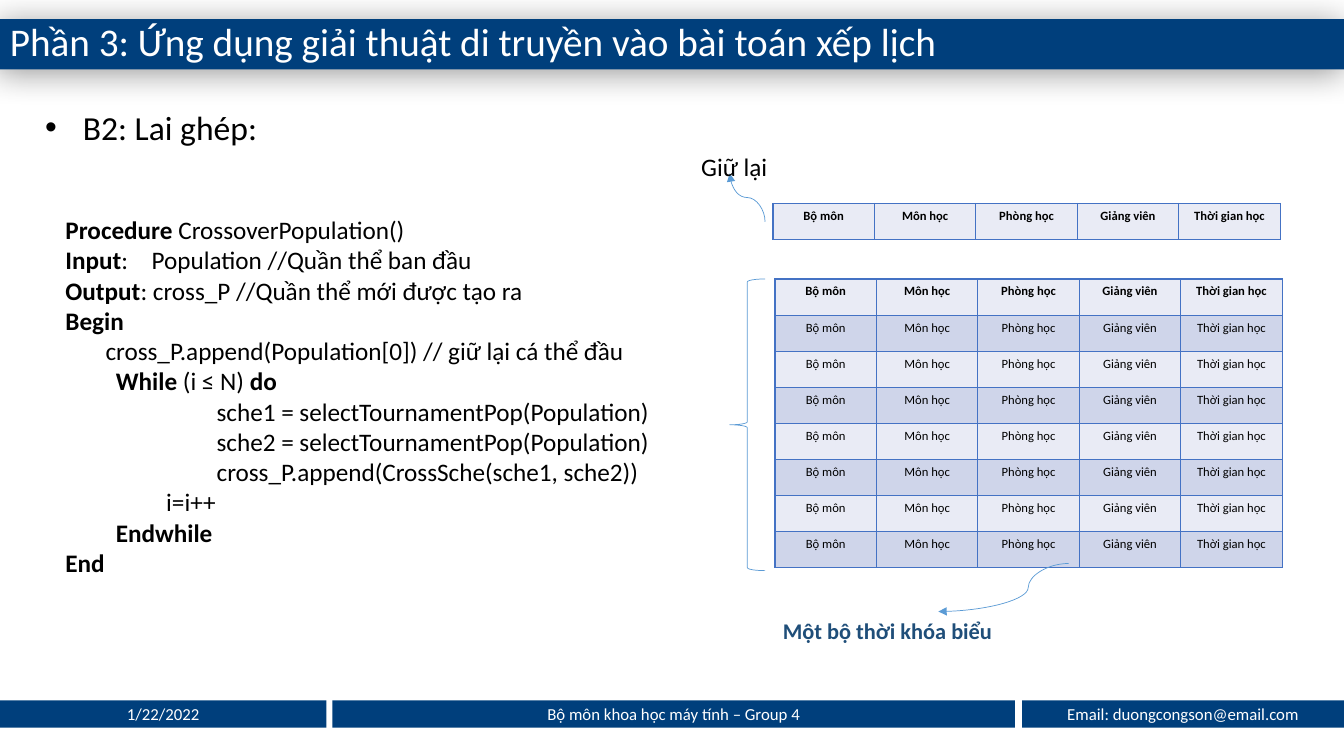
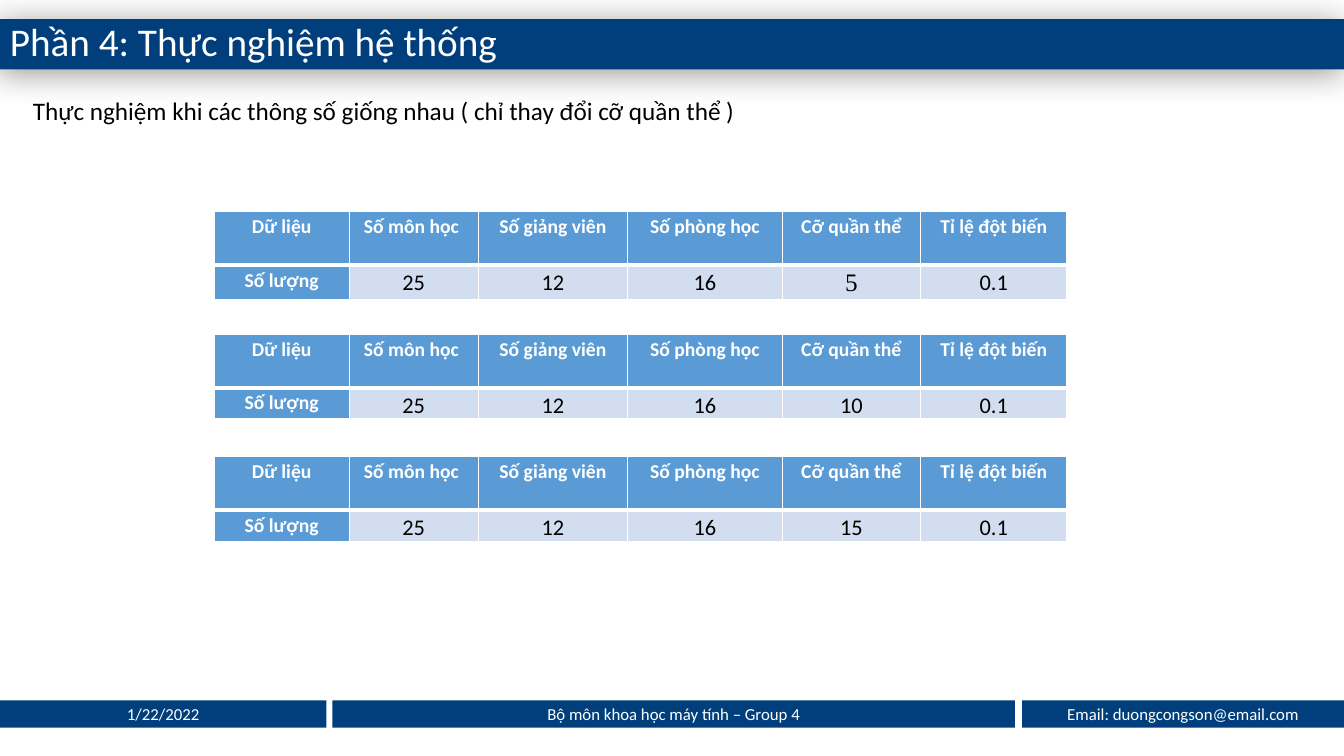
from lxml.etree import SubElement
from pptx import Presentation
from pptx.dml.color import RGBColor
from pptx.enum.shapes import MSO_CONNECTOR as Connector, MSO_SHAPE as Shape
from pptx.enum.text import MSO_ANCHOR as Anchor, PP_ALIGN as Align
from pptx.oxml.ns import qn
from pptx.util import Cm, Pt

COLORS = {
    "navy": "003F7C", "blue": "5B9BD5", "pale": "D2DEEF", "caption": "1F4E79",
    "grid": "4472C4", "light": "E9EBF5", "band": "CFD5EA",
    "black": "000000", "white": "FFFFFF",
}
FONT = "Calibri"
WIDTH, HEIGHT = 33.87, 19.05
FOOTERS = [
    (0, 8.23, "1/22/2022"),
    (8.38, 17.2, "Bộ môn khoa học máy tính – Group 4"),
    (25.76, 8.11, "Email: duongcongson@email.com"),
]
GENES = ["Bộ môn", "Môn học", "Phòng học", "Giảng viên", "Thời gian học"]
GENE_WIDTHS = [2.556] * len(GENES)
GENE_ROW = 0.91
# Indent in cm and text; ** switches bold on and off.
PROCEDURE = [
    (0, "**Procedure **CrossoverPopulation()"),
    (0, "**Input**:\tPopulation //Quần thể ban đầu"),
    (0, "**Output**: cross_P //Quần thể mới được tạo ra"),
    (0, "**Begin**"),
    (1.01, "cross_P.append(Population[0]) // giữ lại cá thể đầu"),
    (1.27, "**While **(i ≤ N) **do**"),
    (3.81, "sche1 = selectTournamentPop(Population)"),
    (3.81, "sche2 = selectTournamentPop(Population)"),
    (3.81, "cross_P.append(CrossSche(sche1, sche2))"),
    (2.54, "i=i++"),
    (1.27, "**Endwhile**"),
    (0, "**End**"),
]
HEADINGS = ["Dữ liệu", "Số môn học ", "Số giảng viên", "Số phòng học",
            "Cỡ quần thể", "Tỉ lệ đột biến"]
TRIAL_WIDTHS = [3.4, 3.25, 3.77, 3.89, 3.49, 3.69]


def rgb(color):
    return RGBColor.from_string(COLORS[color])


class SlideBuilder:
    def __init__(self):
        self.deck = Presentation()
        self.deck.slide_width, self.deck.slide_height = Cm(WIDTH), Cm(HEIGHT)
        self.slide = None

    def start(self, title):
        """Add a slide with the shared title band and footers."""
        self.slide = self.deck.slides.add_slide(self.deck.slide_layouts[6])
        band = self.band(0, 0.48, WIDTH, 1.27, title, 28)
        band.text_frame.paragraphs[0].line_spacing = 0.9
        effects = band._element.spPr.find(qn("a:effectLst"))
        shadow = SubElement(effects, qn("a:outerShdw"), blurRad=str(Pt(24)),
                            dist=str(Pt(3)), dir="8100000", rotWithShape="0")
        color = SubElement(shadow, qn("a:srgbClr"), val=COLORS["black"])
        SubElement(color, qn("a:alpha"), val="40000")
        for left, width, text in FOOTERS:
            self.band(left, 17.65, width, 0.69, text, 12, Align.CENTER)

    def style(self, para, size, color="black", bold=False, font=FONT):
        for span in para.runs:
            span.font.name, span.font.size = font, Pt(size)
            span.font.bold, span.font.color.rgb = bold, rgb(color)

    def band(self, left, top, width, height, text, size, align=Align.LEFT):
        shape = self.slide.shapes.add_shape(
            Shape.RECTANGLE, Cm(left), Cm(top), Cm(width), Cm(height))
        shape.shadow.inherit = False
        shape.fill.solid()
        shape.fill.fore_color.rgb = rgb("navy")
        shape.line.fill.background()
        frame = shape.text_frame
        frame.vertical_anchor = Anchor.MIDDLE
        frame.text = text
        frame.paragraphs[0].alignment = align
        self.style(frame.paragraphs[0], size, "white")
        return shape

    def text(self, left, top, width, height, text, size, color="black",
             bold=False):
        box = self.slide.shapes.add_textbox(
            Cm(left), Cm(top), Cm(width), Cm(height))
        box.text_frame.word_wrap = True
        box.text_frame.text = text
        self.style(box.text_frame.paragraphs[0], size, color, bold)
        return box

    def bullet(self, left, top, width, height, text, size):
        box = self.text(left, top, width, height, text, size)
        props = box.text_frame.paragraphs[0]._p.get_or_add_pPr()
        props.set("marL", str(Cm(0.95)))
        props.set("indent", str(-Cm(0.95)))
        SubElement(props, qn("a:buFont"), typeface="Arial")
        SubElement(props, qn("a:buChar"), char="•")

    def code(self, left, top, width, height, lines, size):
        frame = self.text(left, top, width, height, "", size).text_frame
        for index, (indent, line) in enumerate(lines):
            para = frame.add_paragraph() if index else frame.paragraphs[0]
            props = para._p.get_or_add_pPr()
            props.set("marL", str(Cm(indent)))
            if "\t" in line:
                stops = SubElement(props, qn("a:tabLst"))
                SubElement(stops, qn("a:tab"), pos=str(Cm(2.17)), algn="l")
            for part, words in enumerate(line.split("**")):
                if words:
                    span = para.add_run()
                    span.text = words
            self.style(para, size)
            bolds = [part % 2 == 1 for part, words
                     in enumerate(line.split("**")) if words]
            for span, bold in zip(para.runs, bolds):
                span.font.bold = bold

    def table(self, left, top, widths, heights):
        frame = self.slide.shapes.add_table(
            len(heights), len(widths), Cm(left), Cm(top),
            Cm(sum(widths)), Cm(sum(heights)))
        table = frame.table
        table.first_row = table.horz_banding = False
        for column, width in zip(table.columns, widths):
            column.width = Cm(width)
        for row, height in zip(table.rows, heights):
            row.height = Cm(height)
        return table

    def cell(self, cell, text, fill, border, size, color="black", bold=False,
             font=FONT, **edges):
        """Fill one cell; edges gives other widths than 1 pt, as B=3."""
        props = cell._tc.get_or_add_tcPr()
        for side in "LRTB":
            line = SubElement(props, qn(f"a:ln{side}"),
                              w=str(Pt(edges.get(side, 1))))
            solid = SubElement(line, qn("a:solidFill"))
            SubElement(solid, qn("a:srgbClr"), val=COLORS[border])
        cell.fill.solid()
        cell.fill.fore_color.rgb = rgb(fill)
        cell.text_frame.text = text
        para = cell.text_frame.paragraphs[0]
        para.alignment = Align.CENTER
        self.style(para, size, color, bold, font)
        return para

    def gene_table(self, left, top, count):
        table = self.table(left, top, GENE_WIDTHS, [GENE_ROW] * count)
        for row in range(count):
            for column, gene in enumerate(GENES):
                self.cell(table.cell(row, column), gene,
                          "band" if row % 2 else "light", "grid", 9,
                          bold=row == 0)

    def trial_table(self, left, top, population, size, font):
        table = self.table(left, top, TRIAL_WIDTHS, [1.35, 0.66])
        rows = [HEADINGS, ["Số lượng", "25", "12", "16", population, "0.1"]]
        for row, texts in enumerate(rows):
            edges = {"T": 3} if row else {"B": 3}
            for column, text in enumerate(texts):
                cell = table.cell(row, column)
                cell.margin_left = cell.margin_right = Cm(0.18)
                cell.margin_top = cell.margin_bottom = 0
                if row == 0 or column == 0:
                    look = ("blue", "white", 14, "white", True)
                elif text == population:
                    look = ("pale", "white", size, "black", False, font)
                else:
                    look = ("pale", "white", 16)
                para = self.cell(cell, text, *look, **edges)
                para.line_spacing, para.space_after = 1.15, Pt(8)

    def brace(self, left, top, width, height):
        shape = self.slide.shapes.add_shape(
            Shape.LEFT_BRACE, Cm(left), Cm(top), Cm(width), Cm(height))
        shape.shadow.inherit = False
        shape.fill.background()
        shape.line.color.rgb, shape.line.width = rgb("blue"), Pt(0.5)

    def curved_arrow(self, start, end, bend=50, upward=False):
        """Draw a curved arrow; upward ones leave and arrive vertically."""
        (x1, y1), (x2, y2) = start, end
        if upward:
            middle_x, middle_y = (x1 + x2) / 2, (y1 + y2) / 2
            across, along = (x1 - x2) / 2, (y1 - y2) / 2
            x1, x2 = middle_x - along, middle_x + along
            y1, y2 = middle_y + across, middle_y - across
        arrow = self.slide.shapes.add_connector(
            Connector.CURVE, Cm(x1), Cm(y1), Cm(x2), Cm(y2))
        arrow.line.color.rgb, arrow.line.width = rgb("blue"), Pt(0.5)
        props = arrow._element.spPr
        if upward:
            props.find(qn("a:xfrm")).set("rot", "16200000")
        SubElement(props.find(qn("a:prstGeom")).find(qn("a:avLst")),
                   qn("a:gd"), name="adj1", fmla=f"val {bend * 1000}")
        SubElement(props.find(qn("a:ln")), qn("a:tailEnd"), type="triangle")
        SubElement(props, qn("a:effectLst"))


def crossover_slide(builder):
    builder.start("Phần 3: Ứng dụng giải thuật di truyền vào bài toán xếp lịch")
    builder.bullet(0.89, 2.57, 32.08, 1.28, "B2: Lai ghép:", 24)
    builder.code(1.4, 5.28, 16.92, 9.5, PROCEDURE, 18)
    builder.gene_table(19.53, 7.03, 8)
    builder.brace(18.39, 7.03, 0.89, 7.35)
    builder.curved_arrow((26.93, 14.2), (23.65, 15.41), bend=31)
    builder.text(19.48, 15.42, 6.48, 0.94, "Một bộ thời khóa biểu", 16,
                 "caption", bold=True)
    builder.gene_table(19.48, 5.13, 1)
    builder.curved_arrow((19.28, 5.59), (18.39, 4.37), upward=True)
    builder.text(17.42, 3.68, 2.41, 1.02, "Giữ lại", 18)


def experiment_slide(builder):
    builder.start("Phần 4: Thực nghiệm hệ thống")
    builder.text(0.58, 2.29, 20.24, 1.02, "Thực nghiệm khi các thông số "
                 "giống nhau ( chỉ thay đổi cỡ quần thể )", 18)
    trials = [("5", 18, "Times New Roman"), ("10", 16, FONT), ("15", 16, FONT)]
    for index, trial in enumerate(trials):
        builder.trial_table(5.4, 5.33 + 3.09 * index, *trial)


def main():
    builder = SlideBuilder()
    crossover_slide(builder)
    experiment_slide(builder)
    builder.deck.save("out.pptx")


if __name__ == "__main__":
    main()
